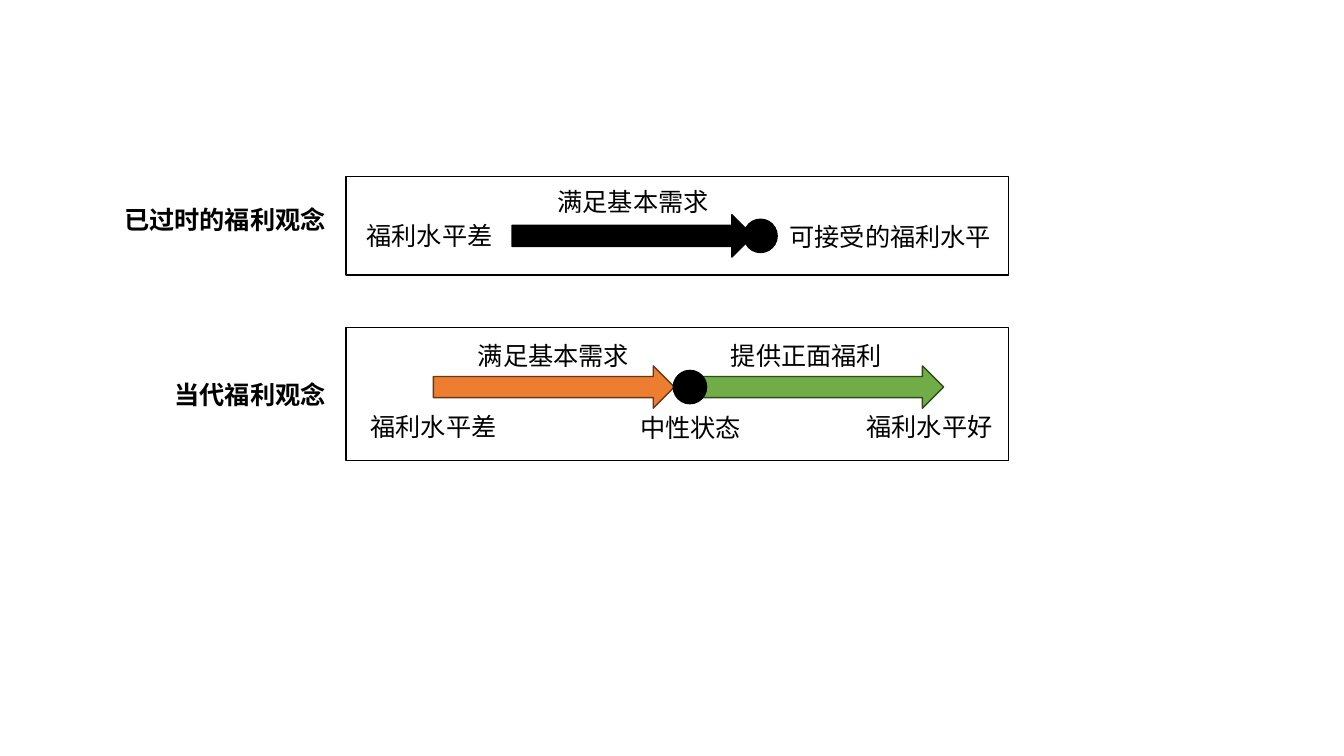
from dataclasses import dataclass

from lxml import etree
from pptx import Presentation, util as u
from pptx.dml.color import RGBColor
from pptx.enum import shapes, text
from pptx.oxml import ns

BLACK = RGBColor(0x00, 0x00, 0x00)
ORANGE = RGBColor(0xED, 0x7D, 0x31)
BROWN = RGBColor(0x68, 0x37, 0x15)
GREEN = RGBColor(0x70, 0xAD, 0x47)
MOSS = RGBColor(0x31, 0x4C, 0x1F)
FONT = "Noto Sans CJK SC"

deck = Presentation()
deck.slide_width, deck.slide_height = u.Inches(13.33), u.Inches(7.5)
slide = deck.slides.add_slide(deck.slide_layouts[6])

# Grid of 100 columns by 100 rows
COL, ROW = deck.slide_width / 100, deck.slide_height / 100
LEFT, WIDE = 25.73, 49.29          # frames
HEAD, LONG, SHORT = 5.63, 19.35, 13.65  # heading column, text widths
LINE = 5.33                        # text height
REACH, THICK = 17.93, 5.6          # arrows
DOT = u.Inches(0.33)
MARK = shapes.MSO_SHAPE
ALIGN = text.PP_ALIGN


@dataclass(frozen=True)
class Arrow:
    col: float
    fill: RGBColor
    edge: RGBColor


@dataclass(frozen=True)
class Label:
    words: str
    col: float
    row: float
    width: float = SHORT


@dataclass(frozen=True)
class View:
    head: Label
    top: float
    height: float
    axis: float     # row through the middle of arrows and dot
    dot: float      # column of the dot's left edge
    arrows: tuple[Arrow, ...]
    labels: tuple[Label, ...]


VIEWS = (
    View(Label("已过时的福利观念", HEAD, 26.4, LONG), 23.33, 13.07, 31.2, 55.35,
         (Arrow(38.1, BLACK, BLACK),),
         (Label("满足基本需求", 40.29, 24),
          Label("福利水平差", 25.13, 28.53),
          Label("可接受的福利水平", 56.57, 28.67, LONG))),
    View(Label("当代福利观念", HEAD, 49.47, LONG), 43.33, 17.6, 51.2, 50.1,
         (Arrow(32.25, ORANGE, BROWN), Arrow(52.28, GREEN, MOSS)),
         (Label("满足基本需求", 34.36, 44.4),
          Label("提供正面福利", 53.19, 44.4),
          Label("中性状态", 44.56, 53.87),
          Label("福利水平差", 25.43, 53.73),
          Label("福利水平好", 62.34, 53.73))),
)


def draw(kind: shapes.MSO_SHAPE, x: float, y: float, w: float, h: float,
         edge: RGBColor, fill: RGBColor | None = None) -> None:
    """Add a preset shape, with lengths in EMU."""
    form = slide.shapes.add_shape(kind, *map(round, (x, y, w, h)))
    form.shadow.inherit = False
    if fill is None:
        form.fill.background()
    else:
        form.fill.solid()
        form.fill.fore_color.rgb = fill
    form.line.color.rgb = edge
    form.line.width = u.Pt(1)


def write(label: Label, align: text.PP_ALIGN, bold: bool = False) -> None:
    """Add one line of text on the grid."""
    box = slide.shapes.add_textbox(
        round(label.col * COL), round(label.row * ROW),
        round(label.width * COL), round(LINE * ROW))
    frame = box.text_frame
    frame.word_wrap = True
    frame.auto_size = text.MSO_AUTO_SIZE.SHAPE_TO_FIT_TEXT
    frame.text = label.words
    para = frame.paragraphs[0]
    para.alignment = align
    font = para.runs[0].font
    font.name, font.size, font.bold = FONT, u.Pt(18), bold
    font.color.rgb = BLACK
    # East Asian glyphs take their own typeface entry
    props = para.runs[0]._r.get_or_add_rPr()
    etree.SubElement(props, ns.qn("a:ea")).set("typeface", FONT)


def show(view: View) -> None:
    """Draw one view of welfare with its heading."""
    mid = view.axis * ROW
    # Arrows and the dot that ends or joins them
    for arrow in view.arrows:
        draw(MARK.RIGHT_ARROW, arrow.col * COL, mid - THICK * ROW / 2,
             REACH * COL, THICK * ROW, arrow.edge, arrow.fill)
    draw(MARK.OVAL, view.dot * COL, mid - DOT / 2, DOT, DOT, BLACK, BLACK)
    # Wording
    for label in view.labels:
        write(label, ALIGN.CENTER)
    write(view.head, ALIGN.RIGHT, bold=True)
    # Frame
    draw(MARK.RECTANGLE, LEFT * COL, view.top * ROW,
         WIDE * COL, view.height * ROW, BLACK)


for view in VIEWS:
    show(view)

deck.save("out.pptx")
